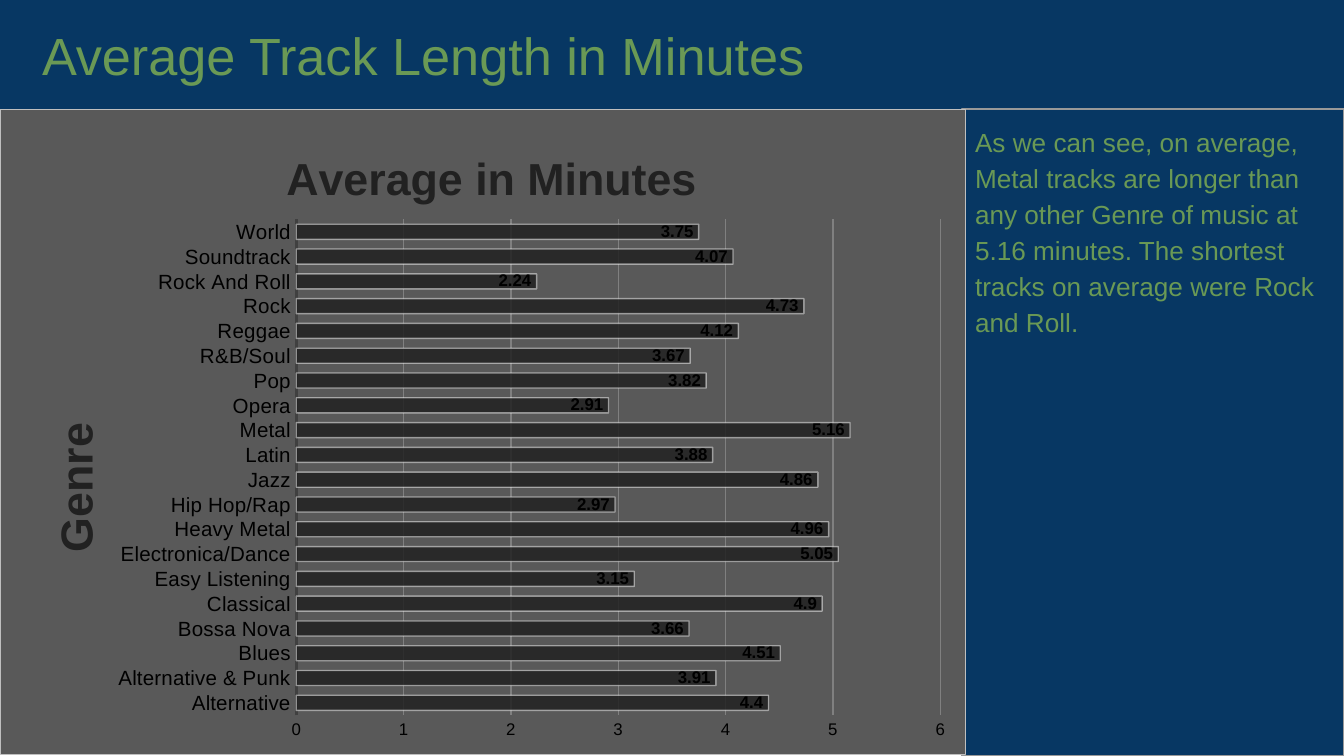
import pptx
import pptx.util
import pptx.chart.data
import pptx.dml.color
import pptx.enum.chart
import pptx.enum.text
import pptx.oxml
import pptx.oxml.ns
import lxml.etree

RGB = pptx.dml.color.RGBColor
Pt = pptx.util.Pt
qn = pptx.oxml.ns.qn
enum = pptx.enum.chart

NAVY = RGB(0x07, 0x37, 0x63)
GREEN = RGB(0x6A, 0x99, 0x55)
GRAY = RGB(0x59, 0x59, 0x59)
EDGE = RGB(0x99, 0x99, 0x99)
RIM = RGB(0xBF, 0xBF, 0xBF)
GRID = RGB(0x80, 0x80, 0x80)
DARK = RGB(0x40, 0x40, 0x40)
INK = RGB(0x21, 0x21, 0x21)
BLACK = RGB(0, 0, 0)
WHITE = RGB(0xFF, 0xFF, 0xFF)

FONT = "Arial"
PX = 9144000 / 1344
WIDE, HIGH = 1344, 756
HEAD = 109      # height of the title band
CHART_W, CHART_H = 966, 646
SIDE = 962      # left edge of the text panel


def write(frame, text, size, color, bold=False, space=None, after=0):
    para = frame.paragraphs[0]
    para.alignment = pptx.enum.text.PP_ALIGN.LEFT
    if space:
        para.line_spacing = space
        para.space_after = Pt(after)
    run = para.add_run()
    run.text = text
    font = run.font
    font.name, font.size, font.bold = FONT, Pt(size), bold
    font.color.rgb = color


def place(node, **spots):
    """Give a chart title or plot area a manual layout, in px of the chart."""
    for old in node.findall(qn("c:layout")):
        node.remove(old)
    layout = lxml.etree.Element(qn("c:layout"))
    manual = lxml.etree.SubElement(layout, qn("c:manualLayout"))
    if "w" in spots:
        lxml.etree.SubElement(manual, qn("c:layoutTarget")).set("val", "inner")
    for mode in ("xMode", "yMode"):
        lxml.etree.SubElement(manual, qn("c:" + mode)).set("val", "edge")
    for key, px in spots.items():
        full = CHART_W if key in "xw" else CHART_H
        lxml.etree.SubElement(manual, qn("c:" + key)).set("val", f"{px / full:.4f}")
    text = node.find(qn("c:tx"))
    if text is None:
        node.insert(0, layout)
    else:
        text.addnext(layout)


deck = pptx.Presentation()
deck.slide_width, deck.slide_height = int(WIDE * PX), int(HIGH * PX)
slide = deck.slides.add_slide(deck.slide_layouts[5])

# Title band
title = slide.shapes.title
title.left, title.top = 0, 0
title.width, title.height = int(WIDE * PX), int(HEAD * PX)
title.fill.solid()
title.fill.fore_color.rgb = NAVY
frame = title.text_frame
frame.auto_size = pptx.enum.text.MSO_AUTO_SIZE.NONE
frame.vertical_anchor = pptx.enum.text.MSO_ANCHOR.MIDDLE
frame.margin_left = int(42 * PX)
write(frame, "Average Track Length in Minutes", 28, GREEN)

# Text panel
panel = slide.shapes.add_textbox(
    int(SIDE * PX), int(HEAD * PX), int((WIDE - SIDE) * PX), int((HIGH - HEAD) * PX))
panel.fill.solid()
panel.fill.fore_color.rgb = NAVY
panel.line.color.rgb = EDGE
panel.line.width = Pt(0.75)
frame = panel.text_frame
frame.word_wrap = True
frame.margin_left = frame.margin_right = int(13 * PX)
frame.margin_top = frame.margin_bottom = int(13 * PX)
write(frame, "As we can see, on average, Metal tracks are longer than any other "
      "Genre of music at 5.16 minutes. The shortest tracks on average were "
      "Rock and Roll.", 14, GREEN, space=1.15, after=16)

# Chart
tracks = {
    "Alternative": 4.4, "Alternative & Punk": 3.91, "Blues": 4.51,
    "Bossa Nova": 3.66, "Classical": 4.9, "Easy Listening": 3.15,
    "Electronica/Dance": 5.05, "Heavy Metal": 4.96, "Hip Hop/Rap": 2.97,
    "Jazz": 4.86, "Latin": 3.88, "Metal": 5.16, "Opera": 2.91, "Pop": 3.82,
    "R&B/Soul": 3.67, "Reggae": 4.12, "Rock": 4.73, "Rock And Roll": 2.24,
    "Soundtrack": 4.07, "World": 3.75,
}
data = pptx.chart.data.CategoryChartData()
data.categories = list(tracks)
data.add_series("Average in Minutes", list(tracks.values()))
chart = slide.shapes.add_chart(
    enum.XL_CHART_TYPE.BAR_CLUSTERED, 0, int(HEAD * PX),
    int(CHART_W * PX), int(CHART_H * PX), data).chart
chart.has_legend = False
chart.font.name, chart.font.size = FONT, Pt(10)
chart.font.color.rgb = BLACK

back = pptx.oxml.parse_xml(
    f'<c:spPr {pptx.oxml.ns.nsdecls("c", "a")}>'
    f'<a:solidFill><a:srgbClr val="{GRAY}"/></a:solidFill>'
    f'<a:ln w="9525"><a:solidFill><a:srgbClr val="{RIM}"/></a:solidFill></a:ln>'
    '</c:spPr>')
root = chart._chartSpace
root.find(qn("c:chart")).addnext(back)
place(root.find(".//" + qn("c:plotArea")), x=296, y=110, w=645, h=497)

cats, vals = chart.category_axis, chart.value_axis
for head, text, x, y in ((chart.chart_title, "Average in Minutes", 278, 32),
                         (cats.axis_title, "Genre", 38, 306)):
    write(head.text_frame, text, 24, INK, bold=True)
    place(head._element, x=x, y=y)
cats.axis_title.text_frame._txBody.bodyPr.set("rot", "-5400000")

for axis, size in ((cats, 11), (vals, 9)):
    axis.major_tick_mark = axis.minor_tick_mark = enum.XL_TICK_MARK.NONE
    font = axis.tick_labels.font
    font.name, font.size = FONT, Pt(size)
    font.color.rgb = BLACK
cats.format.line.color.rgb = DARK
cats.format.line.width = Pt(1.5)
vals.format.line.fill.background()
vals.minimum_scale, vals.maximum_scale, vals.major_unit = 0, 6, 1
grid = vals.major_gridlines.format.line
grid.color.rgb = GRID
grid.width = Pt(0.75)

# Bars
plot = chart.plots[0]
plot.gap_width = 65
plot.vary_by_categories = False
bars = plot.series[0]
look = bars.format
look.fill.solid()
look.fill.fore_color.rgb = INK
look.line.color.rgb = WHITE
look.line.width = Pt(0.75)
tints = bars._element.find(qn("c:spPr")).iter(qn("a:srgbClr"))
for tint, alpha in zip(list(tints), (85, 50)):
    lxml.etree.SubElement(tint, qn("a:alpha")).set("val", str(alpha * 1000))

tags = bars.data_labels
tags.show_value = True
tags.position = enum.XL_LABEL_POSITION.INSIDE_END
tags.font.name, tags.font.size, tags.font.bold = FONT, Pt(9), True
tags.font.color.rgb = BLACK

deck.save("out.pptx")
